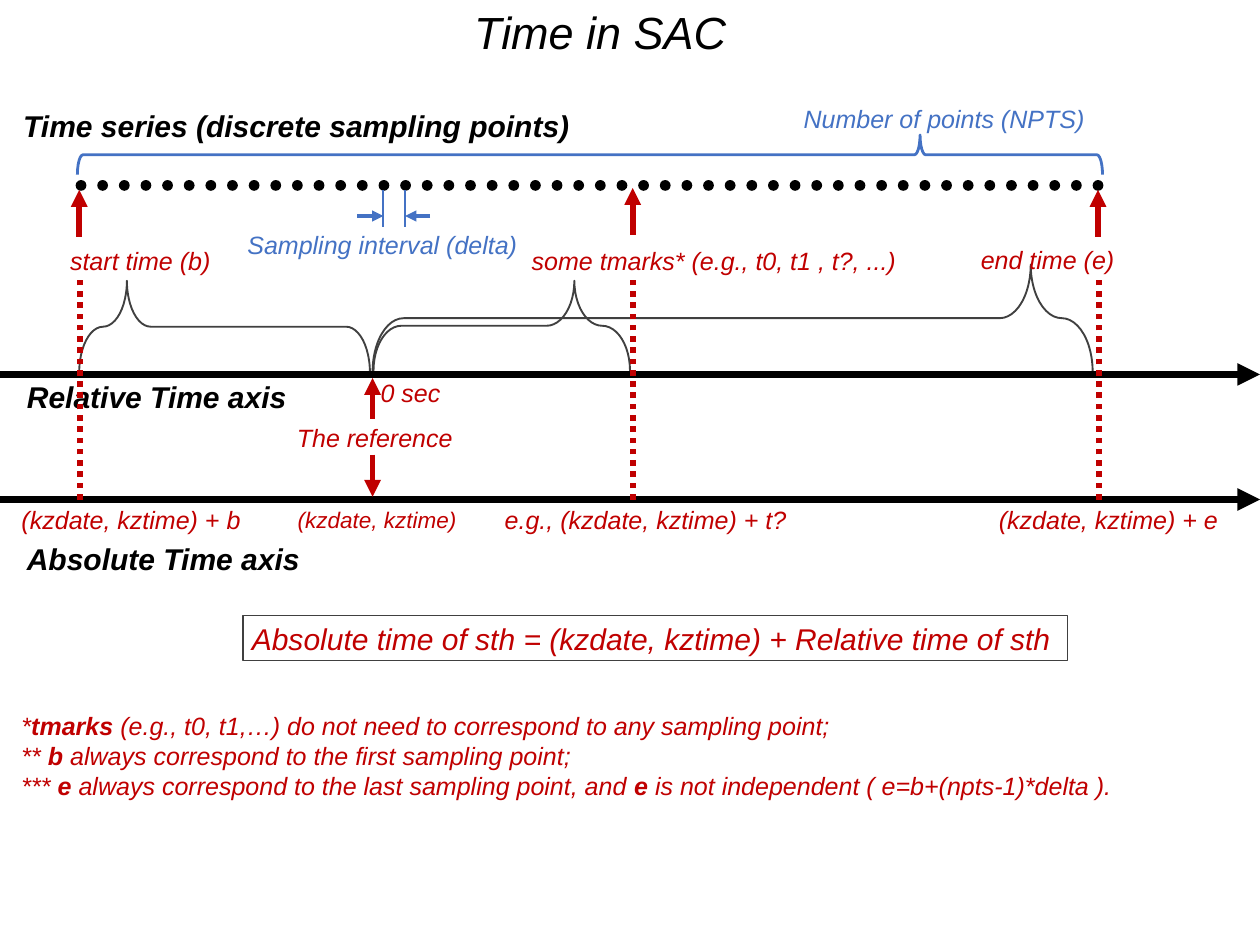
from typing import NamedTuple

from lxml import etree
from pptx import Presentation
from pptx.dml.color import RGBColor
from pptx.enum import shapes, text
from pptx.oxml.ns import qn
from pptx.util import Emu, Pt

BLACK, RED, BLUE, GREY = "000000", "C00000", "4472C4", "404040"
WIDE, HIGH = 12801600, 9601200
COLS, ROWS = 14, 10.5
DOTS, FIRST, LAST, SIZE = 48, 0.9, 12.2, 0.12
REL, ABS, ZERO, MARK = 4.16, 5.55, 4.14, 7.03


class Label(NamedTuple):
    x: float
    y: float
    w: float
    h: float
    words: str
    color: str = RED
    size: float = 20
    bold: bool = False


class Line(NamedTuple):
    x1: float
    y1: float
    x2: float
    y2: float
    color: str
    width: float
    tip: bool = True
    dash: bool = False


class Brace(NamedTuple):
    x: float
    y: float
    w: float
    h: float
    bend: float
    peak: float
    color: str = GREY
    width: float = 1.5


BRACES = [
    Brace(0.88, 3.12, 3.23, 1.02, 0.494, 0.836),
    Brace(4.15, 3.12, 2.85, 1, 0.494, 0.217),
    Brace(4.14, 2.94, 8, 1.19, 0.494, 0.086),
    Brace(0.86, 1.5, 11.39, 0.44, 0.142, 0.178, BLUE, 2.25),
]
LABELS = [
    Label(5.17, 0, 3.02, 0.71, "Time in SAC", BLACK, 36),
    Label(0.16, 1.14, 6.33, 0.5, "Time series (discrete sampling points)", BLACK, 24, True),
    Label(0.2, 4.16, 3.11, 0.5, "Relative Time axis", BLACK, 24, True),
    Label(0.2, 5.96, 3.26, 0.5, "Absolute Time axis", BLACK, 24, True),
    Label(8.83, 1.1, 3.35, 0.44, "Number of points (NPTS)", BLUE),
    Label(2.65, 2.5, 3.23, 0.44, "Sampling interval (delta)", BLUE),
    Label(0.68, 2.68, 1.82, 0.44, "start time (b)"),
    Label(5.81, 2.68, 4.27, 0.44, "some tmarks* (e.g., t0, t1 , t?, ...)"),
    Label(10.8, 2.67, 1.7, 0.44, "end time (e)"),
    Label(4.13, 4.14, 0.87, 0.44, "0 sec"),
    Label(3.2, 4.64, 1.95, 0.44, "The reference"),
    Label(0.14, 5.56, 2.65, 0.44, "(kzdate, kztime) + b"),
    Label(3.21, 5.57, 1.98, 0.4, "(kzdate, kztime)", RED, 18),
    Label(5.51, 5.56, 3.35, 0.44, "e.g., (kzdate, kztime) + t?"),
    Label(11, 5.56, 2.65, 0.44, "(kzdate, kztime) + e"),
]
RULE = Label(2.7, 6.84, 9.16, 0.5,
             "Absolute time of sth = (kzdate, kztime) + Relative time of sth ", RED, 24)
NOTES = Label(
    0.14, 7.84, 12.99, 1.45,
    "*|tmarks| (e.g., t0, t1,…) do not need to correspond to any sampling point;\n"
    "** |b |always correspond to the first sampling point;\n"
    "*** |e |always correspond to the last sampling point, and |e"
    "| is not independent ( e=b+(npts-1)*delta ).")
LINES = [
    *(Line(x, 2.11, x, 2.52, BLUE, 1.5, False) for x in (4.26, 4.5)),
    Line(3.97, 2.4, 4.26, 2.4, BLUE, 3),
    Line(4.78, 2.4, 4.5, 2.4, BLUE, 3),
    *(Line(0, y, COLS, y, BLACK, 6) for y in (REL, ABS)),
    Line(ZERO, 4.65, ZERO, 4.2, RED, 4.5),
    Line(ZERO, 5.05, ZERO, 5.52, RED, 4.5),
    *(Line(x, y + 0.52, x, y, RED, 4.5)
      for x, y in ((0.88, 2.11), (MARK, 2.09), (LAST, 2.11))),
    *(Line(x, ABS, x, 3.08, RED, 4.5, False, True) for x in (0.89, MARK, 12.21)),
]


def col(n: float) -> Emu:
    """Turn grid columns into a length."""
    return Emu(round(WIDE * n / COLS))


def row(n: float) -> Emu:
    """Turn grid rows into a length."""
    return Emu(round(HIGH * n / ROWS))


def rgb(code: str) -> RGBColor:
    """Read a hex colour."""
    return RGBColor.from_string(code)


def form(slide, kind, x: float, y: float, w: float, h: float):
    """Add a preset shape without shadow or fill."""
    shape = slide.shapes.add_shape(kind, col(x), row(y), col(w), row(h))
    shape.shadow.inherit = False
    shape.fill.background()
    return shape


def ink(line, color: str, width: float) -> None:
    """Set the colour and width of a line."""
    line.color.rgb = rgb(color)
    line.width = Pt(width)


def brace(slide, b: Brace) -> None:
    """Draw a brace that points up, given its box as seen."""
    x, y = b.x + (b.w - b.h) / 2, b.y + (b.h - b.w) / 2
    shape = form(slide, shapes.MSO_SHAPE.LEFT_BRACE, x, y, b.h, b.w)
    shape.rotation = 90
    shape.adjustments[0], shape.adjustments[1] = b.bend, b.peak
    ink(shape.line, b.color, b.width)


def dot(slide, x: float) -> None:
    """Draw one sampling point centred on a column."""
    shape = form(slide, shapes.MSO_SHAPE.OVAL, x - SIZE / 2, 2, SIZE, SIZE)
    shape.fill.solid()
    shape.fill.fore_color.rgb = rgb(BLACK)
    shape.line.fill.background()


def write(shape, label: Label, wrap: bool = False) -> None:
    """Fill a shape with text, where bars switch bold on and off."""
    frame = shape.text_frame
    frame.word_wrap = wrap
    frame.vertical_anchor = text.MSO_ANCHOR.TOP
    if not wrap:
        frame.auto_size = text.MSO_AUTO_SIZE.SHAPE_TO_FIT_TEXT
    for i, words in enumerate(label.words.split("\n")):
        para = frame.add_paragraph() if i else frame.paragraphs[0]
        para.alignment = text.PP_ALIGN.LEFT
        for j, part in enumerate(words.split("|")):
            run = para.add_run()
            run.text = part
            look = {"name": "Arial", "size": Pt(label.size), "italic": True,
                    "bold": label.bold or j % 2 == 1}
            for key, value in look.items():
                setattr(run.font, key, value)
            run.font.color.rgb = rgb(label.color)


def note(slide, label: Label, wrap: bool = False) -> None:
    """Add a text box."""
    box = slide.shapes.add_textbox(col(label.x), row(label.y), col(label.w), row(label.h))
    write(box, label, wrap)


def rule(slide, label: Label) -> None:
    """Add the framed formula."""
    shape = form(slide, shapes.MSO_SHAPE.RECTANGLE, label.x, label.y, label.w, label.h)
    ink(shape.line, GREY, 1)
    write(shape, label)


def stroke(slide, s: Line) -> None:
    """Draw a straight line, dotted or with an arrowhead if asked."""
    wire = slide.shapes.add_connector(
        shapes.MSO_CONNECTOR.STRAIGHT, col(s.x1), row(s.y1), col(s.x2), row(s.y2))
    ink(wire.line, s.color, s.width)
    props = wire.line._get_or_add_ln()
    if s.dash:
        etree.SubElement(props, qn("a:prstDash"), val="sysDot")
    if s.tip:
        etree.SubElement(props, qn("a:tailEnd"), type="triangle")
    etree.SubElement(wire._element.spPr, qn("a:effectLst"))


def main() -> None:
    """Build the slide and save it."""
    deck = Presentation()
    deck.slide_width, deck.slide_height = WIDE, HIGH
    slide = deck.slides.add_slide(deck.slide_layouts[6])
    for b in BRACES:
        brace(slide, b)
    for i in range(DOTS):
        dot(slide, FIRST + i * (LAST - FIRST) / (DOTS - 1))
    for label in LABELS:
        note(slide, label)
    for s in LINES:
        stroke(slide, s)
    rule(slide, RULE)
    note(slide, NOTES, True)
    deck.save("out.pptx")


if __name__ == "__main__":
    main()
